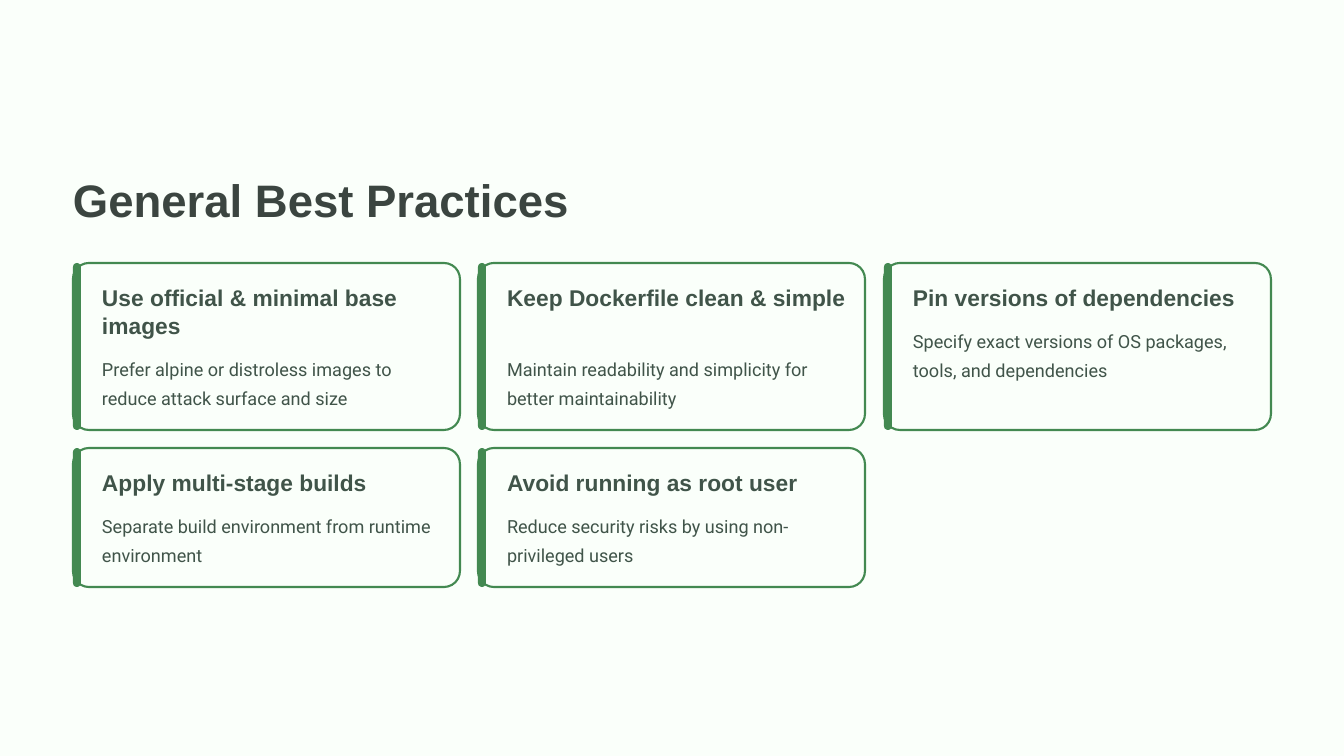
"""Build the slide of general best practices as a grid of accent cards."""
from dataclasses import dataclass

import pptx
import pptx.dml.color
import pptx.enum.shapes
import pptx.enum.text
import pptx.util

PX = 914400 / 84
COLORS = {"paper": "FAFFFA", "green": "438951", "title": "3B4540", "text": "405449"}
LEFT, TOP = 73, 263
CARD_W, GAP, RADIUS, BAR_W = 387, 18, 16, 8
ROW_HEIGHTS = (167, 139)
COLUMNS = 3
TWO_COLUMN_STEP = 811
INSET, PAD_TOP, TEXT_W = 29, 20, 339
HEADING_LINE, HEADING_GAP, BODY_H = 28, 12, 58


@dataclass(frozen=True)
class Style:
    font: str
    size: float
    spacing: float
    color: str
    bold: bool


@dataclass(frozen=True)
class Card:
    heading: str
    body: str
    heading_lines: int = 1


TITLE = Style("Arial", 39, 48.5, "title", True)
HEADING = Style("Arial", 19.5, 24, "text", True)
BODY = Style("Roboto", 15.5, 25, "text", False)

CARDS = (
    Card("Use official & minimal base images",
         "Prefer alpine or distroless images to reduce attack surface and size", 2),
    Card("Keep Dockerfile clean & simple",
         "Maintain readability and simplicity for better maintainability", 2),
    Card("Pin versions of dependencies",
         "Specify exact versions of OS packages, tools, and dependencies"),
    Card("Apply multi-stage builds",
         "Separate build environment from runtime environment"),
    Card("Avoid running as root user",
         "Reduce security risks by using non-privileged users"),
)


def px(n: int) -> int:
    return round(n * PX)


def rgb(name: str) -> pptx.dml.color.RGBColor:
    return pptx.dml.color.RGBColor.from_string(COLORS[name])


def write(tf, text: str, style: Style, wrap: bool) -> None:
    tf.text = text
    tf.word_wrap = wrap
    tf.auto_size = pptx.enum.text.MSO_AUTO_SIZE.NONE
    tf.vertical_anchor = pptx.enum.text.MSO_ANCHOR.TOP
    tf.margin_left = tf.margin_top = tf.margin_right = tf.margin_bottom = 0
    p = tf.paragraphs[0]
    p.alignment = pptx.enum.text.PP_ALIGN.LEFT
    p.line_spacing = pptx.util.Pt(style.spacing)
    p.space_before = pptx.util.Pt(0)
    font = p.runs[0].font
    font.name = style.font
    font.size = pptx.util.Pt(style.size)
    font.bold = style.bold
    font.color.rgb = rgb(style.color)


def add_text(slide, x: int, y: int, h: int, text: str, style: Style, wrap: bool) -> None:
    sp = slide.shapes.add_textbox(px(x), px(y), px(TEXT_W), px(h))
    write(sp.text_frame, text, style, wrap)


def add_rounded(slide, x: int, y: int, w: int, h: int, fill: str, adjustment: float):
    sp = slide.shapes.add_shape(pptx.enum.shapes.MSO_SHAPE.ROUNDED_RECTANGLE,
                                px(x), px(y), px(w), px(h))
    sp.adjustments[0] = adjustment
    sp.shadow.inherit = False
    sp.fill.solid()
    sp.fill.fore_color.rgb = rgb(fill)
    sp.line.fill.background()
    return sp


def add_card(slide, card: Card, x: int, y: int, h: int) -> None:
    frame = add_rounded(slide, x, y, CARD_W, h, "paper", RADIUS / h)
    frame.line.color.rgb = rgb("green")
    frame.line.width = pptx.util.Pt(1.8)
    add_rounded(slide, x, y, BAR_W, h, "green", 0.5)
    heading_y = y + PAD_TOP
    heading_h = card.heading_lines * HEADING_LINE
    add_text(slide, x + INSET, heading_y, heading_h, card.heading, HEADING,
             card.heading_lines > 1)
    add_text(slide, x + INSET, heading_y + heading_h + HEADING_GAP, BODY_H,
             card.body, BODY, True)


def main() -> None:
    prs = pptx.Presentation()
    prs.slide_width, prs.slide_height = px(1344), px(756)
    slide = prs.slides.add_slide(prs.slide_layouts[5])
    slide.background.fill.solid()
    slide.background.fill.fore_color.rgb = rgb("paper")

    title = slide.shapes.title
    title.left, title.top, title.width, title.height = px(LEFT), px(170), px(522), px(57)
    write(title.text_frame, "General Best Practices", TITLE, False)

    for i, card in enumerate(CARDS):
        row, col = divmod(i, COLUMNS)
        x = LEFT + col * TWO_COLUMN_STEP // 2
        y = TOP + sum(ROW_HEIGHTS[:row]) + row * GAP
        add_card(slide, card, x, y, ROW_HEIGHTS[row])

    prs.save("out.pptx")


if __name__ == "__main__":
    main()
